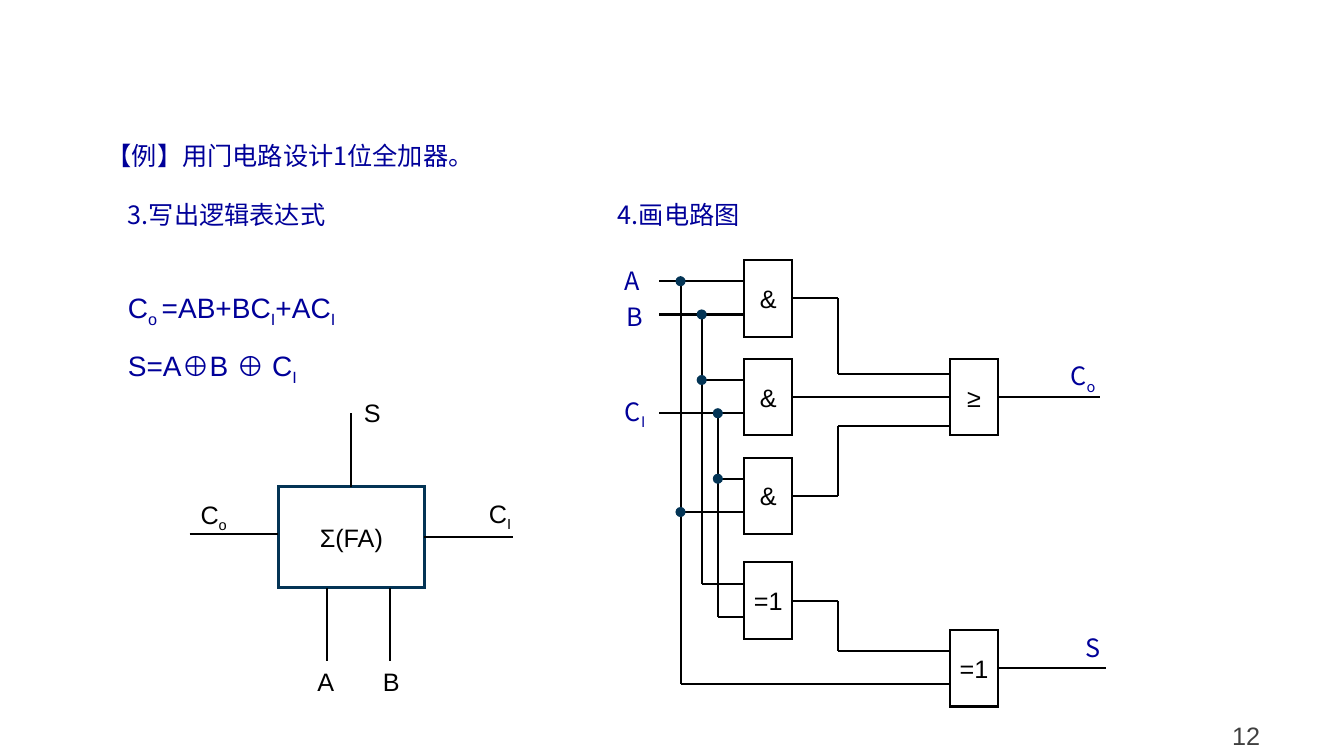
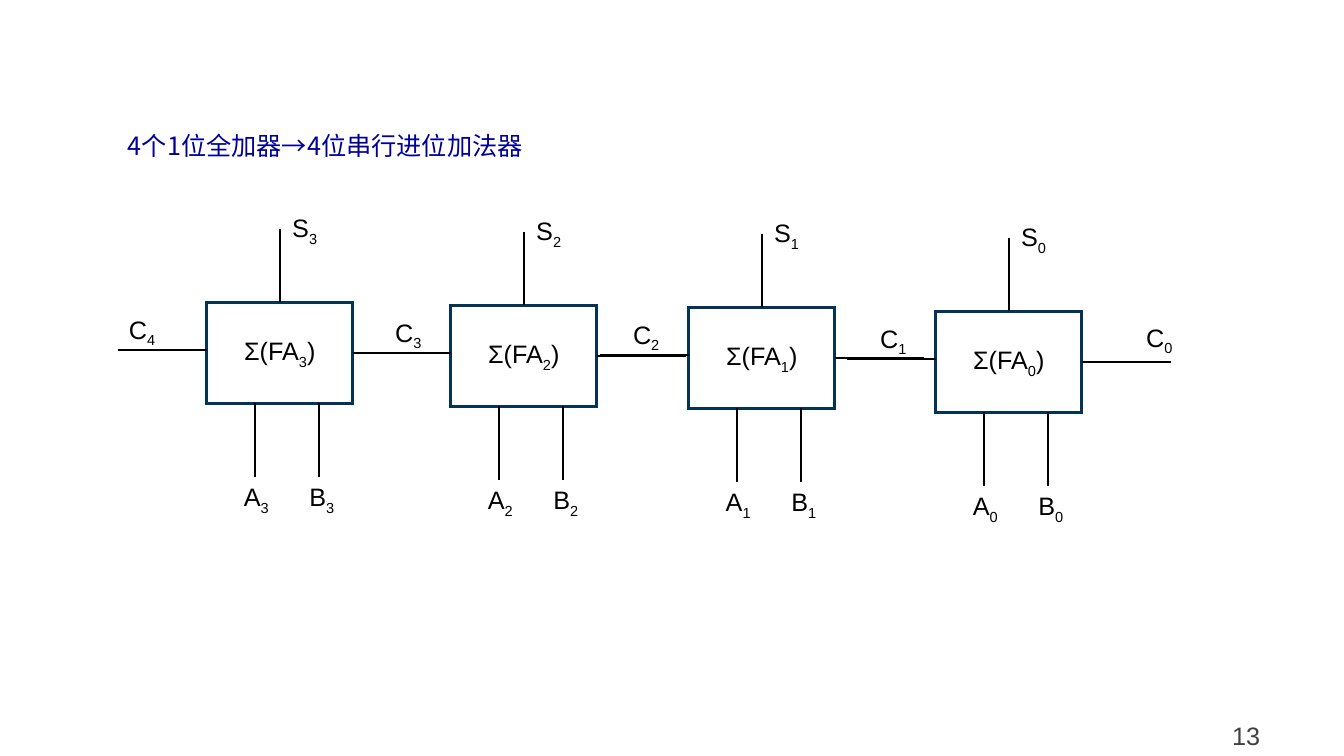
from lxml.etree import SubElement
from pptx import Presentation
from pptx.dml.color import RGBColor
from pptx.enum.shapes import MSO_CONNECTOR, MSO_SHAPE
from pptx.enum.text import MSO_ANCHOR, MSO_AUTO_SIZE, PP_ALIGN
from pptx.oxml.ns import qn
from pptx.util import Inches, Pt

COLORS = {"navy": "000099", "black": "000000", "gray": "404040", "teal": "033455", "white": "FFFFFF"}
LATIN, CHINESE = "Arial", "Noto Sans CJK SC"
STYLES = {
    "heading": {"name": CHINESE, "size": Pt(18), "color": "navy"},
    "formula": {"name": LATIN, "size": Pt(20), "color": "navy"},
    "label": {"name": LATIN, "size": Pt(18), "color": "black"},
    "number": {"name": LATIN, "size": Pt(18), "color": "gray"},
}
TOP, LEFT, RIGHT = 0, 1, 3

DESIGN_TEXTS = [
    ("【例】用门电路设计1位全加器。", 0.96, 1.34, 3.88, 0.4, "heading"),
    ("3.写出逻辑表达式", 1.17, 1.93, 2.49, 0.4, "heading"),
    ("C|o |=AB+BC|I|+AC|I", 1.17, 2.83, 2.33, 0.44, "formula"),
    ("S=A⊕B ⊕ C|I", 1.17, 3.41, 1.89, 0.44, "formula"),
    ("4.画电路图", 6.03, 1.93, 2.49, 0.4, "heading"),
]
SIGNALS = [
    ("A", 6.1, 2.58, 0.48), ("B", 6.12, 2.94, 0.48), ("C|I", 6.1, 3.88, 0.48),
    ("S", 10.67, 6.22, 0.48), ("C|o", 10.52, 3.53, 0.63),
]
GATE_WIDTH, GATE_HEIGHT = 0.48, 0.76
GATES = {
    "and_ab": ("&", 7.38, 2.58), "and_bc": ("&", 7.38, 3.56), "and_ac": ("&", 7.38, 4.54),
    "xor_bc": ("=1", 7.38, 5.58), "or_carry": ("≥", 9.42, 3.56), "xor_sum": ("=1", 9.42, 6.25),
}
PINS = {"upper": 0.21, "lower": 0.54, "first": 0.15, "last": 0.67}
TERMINAL, BEND = 6.54, 8.31
BUSES = {"A": 6.75, "B": 6.96, "C": 7.12}
INPUTS = [
    ("and_ab", "upper", "A", True), ("and_ab", "lower", "B", True),
    ("and_bc", "upper", "B", False), ("and_bc", "lower", "C", True),
    ("and_ac", "upper", "C", False), ("and_ac", "lower", "A", False),
    ("xor_bc", "upper", "B", False), ("xor_bc", "lower", "C", False),
    ("xor_sum", "lower", "A", False),
]
ELBOWS = [("and_ab", "or_carry", "first"), ("and_ac", "or_carry", "last"), ("xor_bc", "xor_sum", "upper")]
OUTPUTS = [("or_carry", 10.91), ("xor_sum", 10.97)]
DOT = 0.1

ADDER_WIDTH, ADDER_HEIGHT, STUB = 1.45, 1, 0.73
CARRY_STUB, CARRY_LABEL_WIDTH = 0.88, 0.48
ADDERS = [(2.05, 3), (4.47, 3.03), (6.83, 3.05), (9.28, 3.09)]


def color(name):
    return RGBColor.from_string(COLORS[name])


def write(shape, text, style, align=PP_ALIGN.LEFT, **settings):
    frame = shape.text_frame
    for name, value in settings.items():
        setattr(frame, name, value)
    para = frame.paragraphs[0]
    para.alignment = align
    for index, part in enumerate(text.split("|")):
        if not part:
            continue
        span = para.add_run()
        span.text = part
        for name, value in STYLES[style].items():
            if name == "color":
                span.font.color.rgb = color(value)
            else:
                setattr(span.font, name, value)
        properties = span.font._element
        SubElement(properties, qn("a:ea")).set("typeface", CHINESE)
        if index % 2:
            properties.set("baseline", "-25000")
    return para


def add_text(page, text, left, top, width, height=0.4, style="label", wrap=False):
    box = page.shapes.add_textbox(Inches(left), Inches(top), Inches(width), Inches(height))
    write(box, text, style, word_wrap=wrap, auto_size=MSO_AUTO_SIZE.SHAPE_TO_FIT_TEXT)


def add_box(page, text, left, top, width, height, line, weight):
    box = page.shapes.add_shape(MSO_SHAPE.RECTANGLE, Inches(left), Inches(top), Inches(width), Inches(height))
    box.shadow.inherit = False
    box.fill.solid()
    box.fill.fore_color.rgb = color("white")
    box.line.color.rgb = color(line)
    box.line.width = Pt(weight)
    SubElement(box._element.spPr.find(qn("a:ln")), qn("a:miter")).set("lim", "800000")
    write(box, text, "label", PP_ALIGN.CENTER, word_wrap=True, vertical_anchor=MSO_ANCHOR.MIDDLE,
          margin_left=0, margin_right=0)
    return box


def add_wire(page, start, end, begin=None, finish=None):
    points = [Inches(value) for value in (*start, *end)]
    wire = page.shapes.add_connector(MSO_CONNECTOR.STRAIGHT, *points)
    wire.line.color.rgb = color("black")
    wire.line.width = Pt(1.5)
    SubElement(wire._element.spPr, qn("a:effectLst"))
    if begin:
        wire.begin_connect(*begin)
    if finish:
        wire.end_connect(*finish)


def add_page(deck, number):
    page = deck.slides.add_slide(deck.slide_layouts[6])
    box = page.shapes.add_textbox(Inches(11.48), Inches(7.05), Inches(1.76), Inches(0.43))
    para = write(box, str(number), "number", PP_ALIGN.CENTER, word_wrap=True, vertical_anchor=MSO_ANCHOR.MIDDLE)
    para.line_spacing = 1.2
    return page


def add_adder(page, left, top, suffix, carry_out, carry_in=None, carry_offset=-0.87):
    name = f"Σ(FA{suffix}|)" if suffix else "Σ(FA)"
    box = add_box(page, name, left, top, ADDER_WIDTH, ADDER_HEIGHT, "teal", 2.25)
    right, bottom, center = left + ADDER_WIDTH, top + ADDER_HEIGHT, left + ADDER_WIDTH / 2
    label_width, label_shift = (0.46, 0.27) if suffix else (0.37, 0.29)
    for letter, offset in (("A", 0), ("B", 0.65)):
        across = left + 0.48 + offset * 0.97
        add_wire(page, (across, bottom), (across, bottom + STUB))
        add_text(page, letter + suffix, left + label_shift + offset, bottom + STUB, label_width)
    add_wire(page, (right, top + 0.5), (right + CARRY_STUB, top + 0.5), begin=(box, RIGHT))
    add_wire(page, (left - CARRY_STUB, top + 0.47), (left, top + 0.47))
    add_wire(page, (center, top - STUB), (center, top), finish=(box, TOP))
    add_text(page, "S" + suffix, left + 0.75, top - 0.94, label_width)
    add_text(page, carry_out, left + carry_offset, top + 0.07, CARRY_LABEL_WIDTH)
    if carry_in:
        add_text(page, carry_in, left + 1.99, top + 0.06, CARRY_LABEL_WIDTH)


def pin_height(gate, pin):
    return GATES[gate][2] + PINS[pin]


def add_circuit(page):
    boxes = {gate: add_box(page, symbol, left, top, GATE_WIDTH, GATE_HEIGHT, "black", 1.5)
             for gate, (symbol, left, top) in GATES.items()}
    bus_heights = {bus: [] for bus in BUSES}
    for gate, pin, bus, from_terminal in INPUTS:
        height = pin_height(gate, pin)
        bus_heights[bus].append(height)
        add_wire(page, (TERMINAL if from_terminal else BUSES[bus], height), (GATES[gate][1], height))

    def add_output(gate, end, finish=None):
        left, top = GATES[gate][1:]
        middle = top + GATE_HEIGHT / 2
        add_wire(page, (left + GATE_WIDTH, middle), (end, middle), (boxes[gate], RIGHT), finish)
        return middle

    for source, target, pin in ELBOWS:
        middle, height = add_output(source, BEND), pin_height(target, pin)
        add_wire(page, (BEND, middle), (BEND, height))
        add_wire(page, (BEND, height), (GATES[target][1], height))
    add_output("and_bc", GATES["or_carry"][1], (boxes["or_carry"], LEFT))
    for gate, end in OUTPUTS:
        add_output(gate, end)

    for bus, heights in bus_heights.items():
        across = BUSES[bus]
        add_wire(page, (across, heights[0]), (across, heights[-1]))
        for height in heights[:-1]:
            dot = page.shapes.add_shape(MSO_SHAPE.OVAL, Inches(across - DOT / 2), Inches(height - DOT / 2),
                                        Inches(DOT), Inches(DOT))
            dot.shadow.inherit = False
            dot.fill.solid()
            dot.fill.fore_color.rgb = color("teal")
            dot.line.fill.background()
    for text, left, top, width in SIGNALS:
        add_text(page, text, left, top, width, style="heading", wrap=True)


def main():
    deck = Presentation()
    deck.slide_width, deck.slide_height = Inches(13.33), Inches(7.5)

    design = add_page(deck, 12)
    for text, left, top, width, height, style in DESIGN_TEXTS:
        add_text(design, text, left, top, width, height, style, wrap=True)
    add_circuit(design)
    add_adder(design, 2.76, 4.83, "", "C|o", "C|I")

    ripple = add_page(deck, 13)
    add_text(ripple, "4个1位全加器→4位串行进位加法器", 1.17, 1.24, 4.17, style="heading", wrap=True)
    for index, (left, top) in enumerate(ADDERS):
        bit = len(ADDERS) - 1 - index
        add_adder(ripple, left, top, f"|{bit}", f"C|{bit + 1}",
                  carry_in="C|0" if bit == 0 else None,
                  carry_offset=-0.65 if index else -0.87)

    deck.save("out.pptx")


if __name__ == "__main__":
    main()
